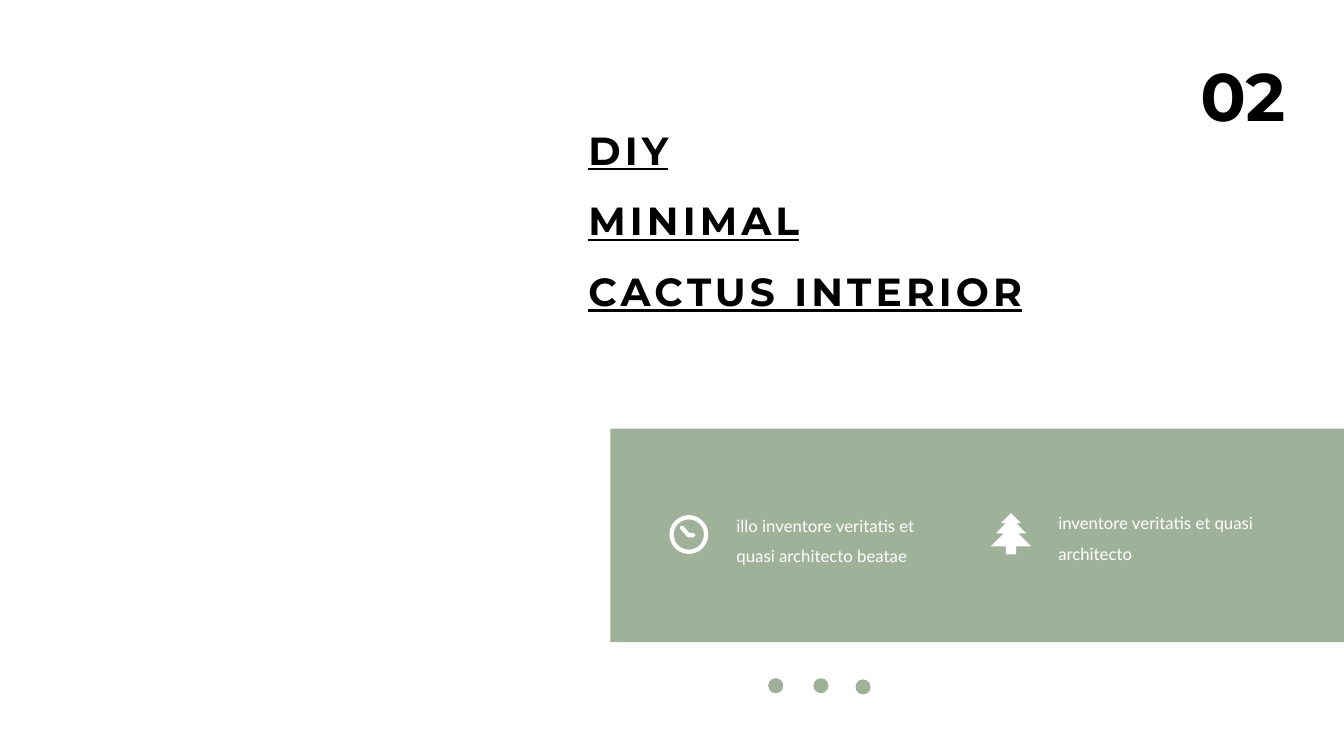
from dataclasses import dataclass

from pptx import Presentation
from pptx.dml.color import RGBColor
from pptx.enum.shapes import MSO_SHAPE as SHAPE
from pptx.enum.text import MSO_AUTO_SIZE as AUTO
from pptx.util import Cm, Pt


@dataclass(frozen=True)
class Theme:
    sage: RGBColor = RGBColor(0xA0, 0xB1, 0x9A)
    white: RGBColor = RGBColor(0xFF, 0xFF, 0xFF)
    black: RGBColor = RGBColor(0, 0, 0)
    heading: str = "Montserrat"
    body: str = "Lato"
    number_size: int = 48
    title_size: int = 28
    body_size: int = 12


theme = Theme()
prs = Presentation()
prs.slide_width, prs.slide_height = Cm(33.87), Cm(19.05)
s = prs.slides.add_slide(prs.slide_layouts[6])


def add_text(text, box, font, size, color, bold=False, underline=False,
             tracking=0, spacing=None, before=0, wrap=True, grow=False):
    """Add one paragraph; each newline becomes a line break."""
    tf = s.shapes.add_textbox(*map(Cm, box)).text_frame
    tf.word_wrap = wrap
    tf.auto_size = AUTO.SHAPE_TO_FIT_TEXT if grow else AUTO.NONE
    p = tf.paragraphs[0]
    p.line_spacing = spacing
    p.space_before = Pt(before)
    for i, line in enumerate(text.split("\n")):
        if i:
            p.add_line_break()
        r = p.add_run()
        r.text = line
        f = r.font
        f.name, f.size, f.bold, f.underline = font, Pt(size), bold, underline
        f.color.rgb = color
        if tracking:
            r._r.get_or_add_rPr().set("spc", str(tracking * 100))


def paint(sp, color):
    sp.shadow.inherit = False
    sp.fill.solid()
    sp.fill.fore_color.rgb = color
    sp.line.fill.background()


# Green band
band = s.shapes.add_shape(SHAPE.RECTANGLE, Cm(15.38), Cm(10.8), Cm(18.49), Cm(5.38))
paint(band, theme.sage)

# Title and slide number
add_text("DIY\nMINIMAL\nCACTUS INTERIOR", (14.58, 2.46, 12.65, 5.64),
         theme.heading, theme.title_size, theme.black, bold=True,
         underline=True, tracking=3, spacing=1.5, grow=True)
add_text("02", (30, 1.24, 2.69, 2.31), theme.heading, theme.number_size,
         theme.black, bold=True, wrap=False, grow=True)

# Captions in the band
captions = [
    ("illo inventore veritatis et quasi architecto beatae", (18.31, 12.62, 5.21, 2.16)),
    ("inventore veritatis et quasi architecto", (26.42, 12.55, 5.59, 2.16)),
]
for text, box in captions:
    add_text(text, box, theme.body, theme.body_size, theme.white,
             spacing=1.5, before=10)

# Clock rim
rim = s.shapes.add_shape(SHAPE.DONUT, Cm(16.87), Cm(12.98), Cm(0.98), Cm(0.98))
rim.adjustments[0] = 0.11
paint(rim, theme.white)

# Clock hands and tree, in hundredths of a centimetre
hands = [(1713, 1331), (1715, 1326), (1722, 1325), (1737, 1343), (1748, 1343),
         (1753, 1348), (1748, 1354), (1734, 1354), (1730, 1351)]
tree_axis = 2548
tree_half = [(0, 1293), (25, 1318), (13, 1318), (38, 1344), (18, 1344),
             (51, 1377), (13, 1377), (13, 1397)]
tree = ([(tree_axis + dx, y) for dx, y in tree_half]
        + [(tree_axis - dx, y) for dx, y in reversed(tree_half[1:])])
for points in (hands, tree):
    outline = s.shapes.build_freeform(*points[0], scale=Cm(0.01))
    outline.add_line_segments(points[1:], close=True)
    paint(outline.convert_to_shape(), theme.white)

# Page dots
for x, y in ((19.36, 17.09), (20.5, 17.09), (21.56, 17.12)):
    dot = s.shapes.add_shape(SHAPE.OVAL, Cm(x), Cm(y), Cm(0.38), Cm(0.38))
    paint(dot, theme.sage)

prs.save("out.pptx")
